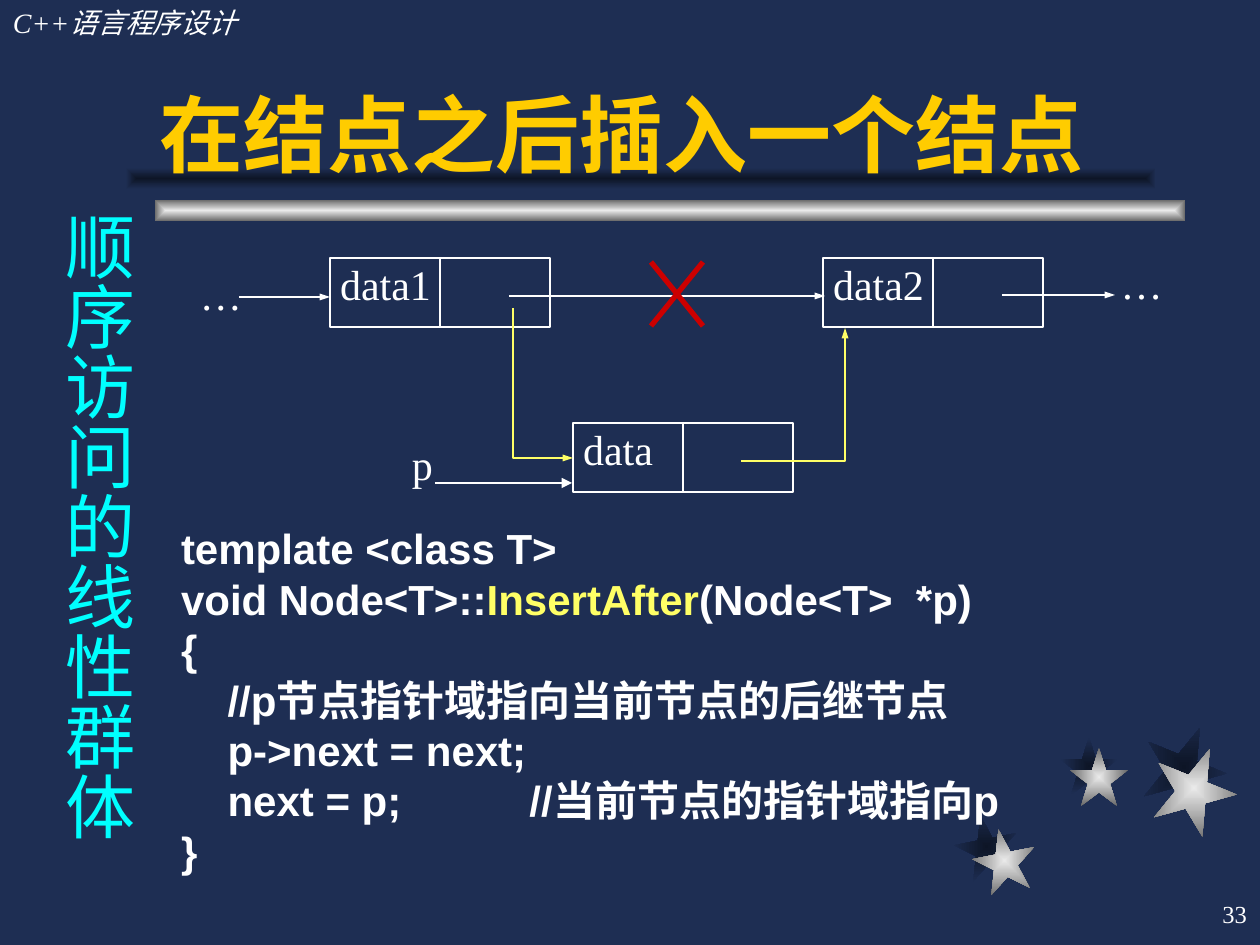
from lxml import etree
from pptx import Presentation, util as u
from pptx.dml.color import RGBColor
from pptx.enum import shapes, text
from pptx.oxml.ns import qn

COLORS = {
    "bg": "1E2E53", "dark": "0D1526", "light": "EAEAEA", "gray": "6B6B6B",
    "white": "FFFFFF", "gold": "FFCC00", "yellow": "FFFF66", "cyan": "00FFFF",
    "red": "CC0000",
}
SERIF, SANS, CJK = "Times New Roman", "Arial", "Noto Sans CJK SC"
SHADOW, SILVER = ("dark", "bg"), ("light", "gray")  # gradient centre, edge

# Content, lengths in px (126 px to the inch)
STARS = [  # size, rotation, shadow position, star position
    (63, 349, (955, 815), (973, 829)),
    (58, 0, (1060, 737), (1070, 748)),
    (84, 22, (1142, 725), (1152, 746)),
]
BARS = [((155, 200), SILVER), ((126, 168), SHADOW)]
BAR_SIZE = (1030, 21)

NODE_W, NODE_H = 220, 69
NODES = [("data1", 330, 258), ("data2", 823, 258), ("data", 573, 423)]

ARROWS = [  # from, to, arrowhead width
    ((509, 296), (825, 296), "sm"),
    ((1002, 295), (1115, 295), "sm"),
    ((239, 297), (330, 297), "sm"),
    ((435, 483), (572, 483), "med"),
]
ELBOWS = [
    [(741, 461), (845, 461), (845, 328)],
    [(513, 308), (513, 458), (573, 458)],
]
CROSS = [((703, 262), (651, 326)), ((651, 262), (703, 326))]

LABELS = [  # text, box, insets, alignment
    ("…", (1081, 252, 121, 76), (13, 6), "CENTER"),
    ("p", (380, 438, 145, 55), (32, 0), "LEFT"),
    ("…", (179, 268, 84, 54), (0, 0), "CENTER"),
]
CODE = [
    [("template <class T>", "white")],
    [("void Node<T>::", "white"), ("InsertAfter", "yellow"),
     ("(Node<T>  *p)", "white")],
    [("{", "white")],
    [("    //p节点指针域指向当前节点的后继节点", "white")],
    [("    p->next = next;", "white")],
    [("    next = p;           //当前节点的指针域指向p", "white")],
    [("}", "white")],
]


def px(n):
    return u.Emu(round(n * 914400 / 126))


def rgb(name):
    return RGBColor.from_string(COLORS[name])


def add_preset(s, kind, box, gradient=None, rotation=0):
    sp = s.shapes.add_shape(kind, *map(px, box))
    sp.shadow.inherit = False
    sp.rotation = rotation
    if gradient is None:
        sp.fill.background()
        sp.line.color.rgb = rgb("white")
        sp.line.width = u.Pt(0.75)
        return sp
    sp.line.fill.background()
    sp.fill.gradient()
    for stop, name in zip(sp.fill.gradient_stops, gradient):
        stop.color.rgb = rgb(name)
    # Replace the linear direction by a rectangular one around the centre
    grad = sp._element.spPr.find(qn("a:gradFill"))
    grad.remove(grad.find(qn("a:lin")))
    way = etree.SubElement(grad, qn("a:path"))
    way.set("path", "rect")
    centre = etree.SubElement(way, qn("a:fillToRect"))
    for side in "ltrb":
        centre.set(side, "50000")
    return sp


def style_line(sp, color, width, head=None):
    sp.line.color.rgb = rgb(color)
    sp.line.width = u.Pt(width)
    if head:
        end = etree.SubElement(sp.line._get_or_add_ln(), qn("a:tailEnd"))
        end.set("type", "triangle")
        end.set("w", head)


def add_line(s, start, end, color="white", width=0.75, head=None):
    c = s.shapes.add_connector(
        shapes.MSO_CONNECTOR.STRAIGHT, *map(px, start + end))
    style_line(c, color, width, head)
    etree.SubElement(c._element.spPr, qn("a:effectLst"))


def write(sp, lines, font, size, align="LEFT", anchor="TOP", inset=(13, 6),
          bold=False, italic=False, wrap=True):
    tf = sp.text_frame
    tf.word_wrap = wrap
    tf.vertical_anchor = text.MSO_ANCHOR[anchor]
    tf.margin_left = tf.margin_right = px(inset[0])
    tf.margin_top = tf.margin_bottom = px(inset[1])
    for i, line in enumerate(lines):
        p = tf.add_paragraph() if i else tf.paragraphs[0]
        p.alignment = text.PP_ALIGN[align]
        p.font.name, p.font.size = font, u.Pt(size)
        p.font.bold, p.font.italic = bold, italic
        for words, color in line:
            r = p.add_run()
            r.text = words
            r.font.color.rgb = rgb(color)
    return tf


def add_text(s, box, lines, font, size, **style):
    return write(s.shapes.add_textbox(*map(px, box)), lines, font, size, **style)


prs = Presentation()
prs.slide_width, prs.slide_height = px(1260), px(945)
s = prs.slides.add_slide(prs.slide_layouts[6])
s.background.fill.solid()
s.background.fill.fore_color.rgb = rgb("bg")

# Stars over their shadows, then the title bars
for place, gradient in ((2, SHADOW), (3, SILVER)):
    for star in STARS:
        add_preset(s, shapes.MSO_SHAPE.STAR_5_POINT,
                   star[place] + (star[0], star[0]), gradient, star[1])
for corner, gradient in BARS:
    add_preset(s, shapes.MSO_SHAPE.RECTANGLE, corner + BAR_SIZE, gradient)

# Header and title
add_text(s, (0, 0, 388, 47), [[("C++语言程序设计", "white")]], SERIF, 16,
         italic=True)
add_text(s, (147, 32, 1050, 157), [[("在结点之后插入一个结点", "gold")]], SANS, 48,
         anchor="BOTTOM", bold=True)

# List nodes, each split into data and pointer
for name, x, y in NODES:
    sp = add_preset(s, shapes.MSO_SHAPE.RECTANGLE, (x, y, NODE_W, NODE_H))
    write(sp, [[(name, "white")]], SERIF, 24, inset=(10, 0))
    add_line(s, (x + NODE_W // 2, y), (x + NODE_W // 2, y + NODE_H))

# Pointers
for start, end, head in ARROWS:
    add_line(s, start, end, head=head)
for first, *rest in ELBOWS:
    fb = s.shapes.build_freeform(*map(px, first), scale=1.0)
    fb.add_line_segments([tuple(map(px, pt)) for pt in rest], close=False)
    sp = fb.convert_to_shape()
    sp.shadow.inherit = False
    sp.fill.background()
    style_line(sp, "yellow", 0.75, "sm")
for start, end in CROSS:
    add_line(s, start, end, "red", 3)
for words, box, inset, align in LABELS:
    add_text(s, box, [[(words, "white")]], SERIF, 24, inset=inset, align=align)

# Code, vertical chapter name, slide number
add_text(s, (168, 517, 1029, 365), CODE, SANS, 24, bold=True)
tf = add_text(s, (38, 199, 108, 660), [[("顺序访问的线性群体", "cyan")]], CJK, 40,
              inset=(6, 13))
tf._txBody.bodyPr.set("vert", "eaVert")
add_text(s, (998, 882, 262, 63), [[("33", "white")]], SERIF, 14,
         align="RIGHT", anchor="MIDDLE")

prs.save("out.pptx")
